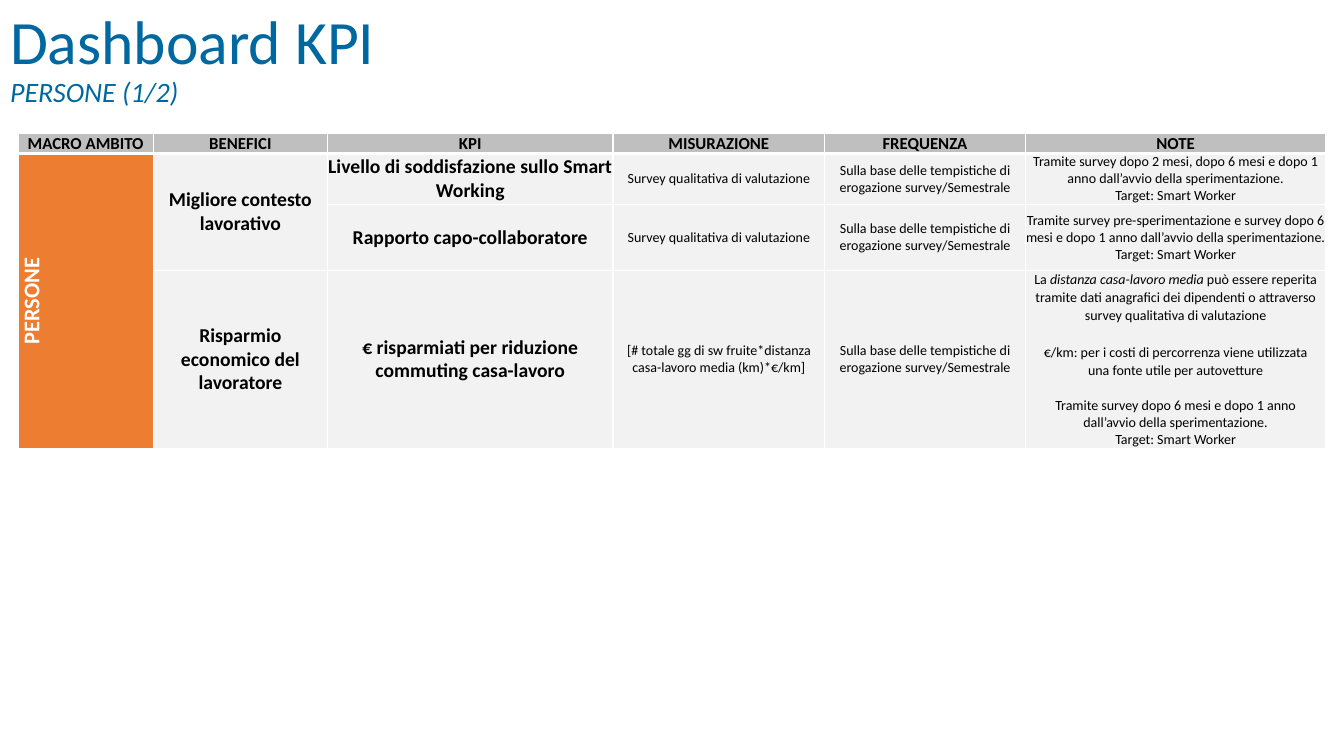
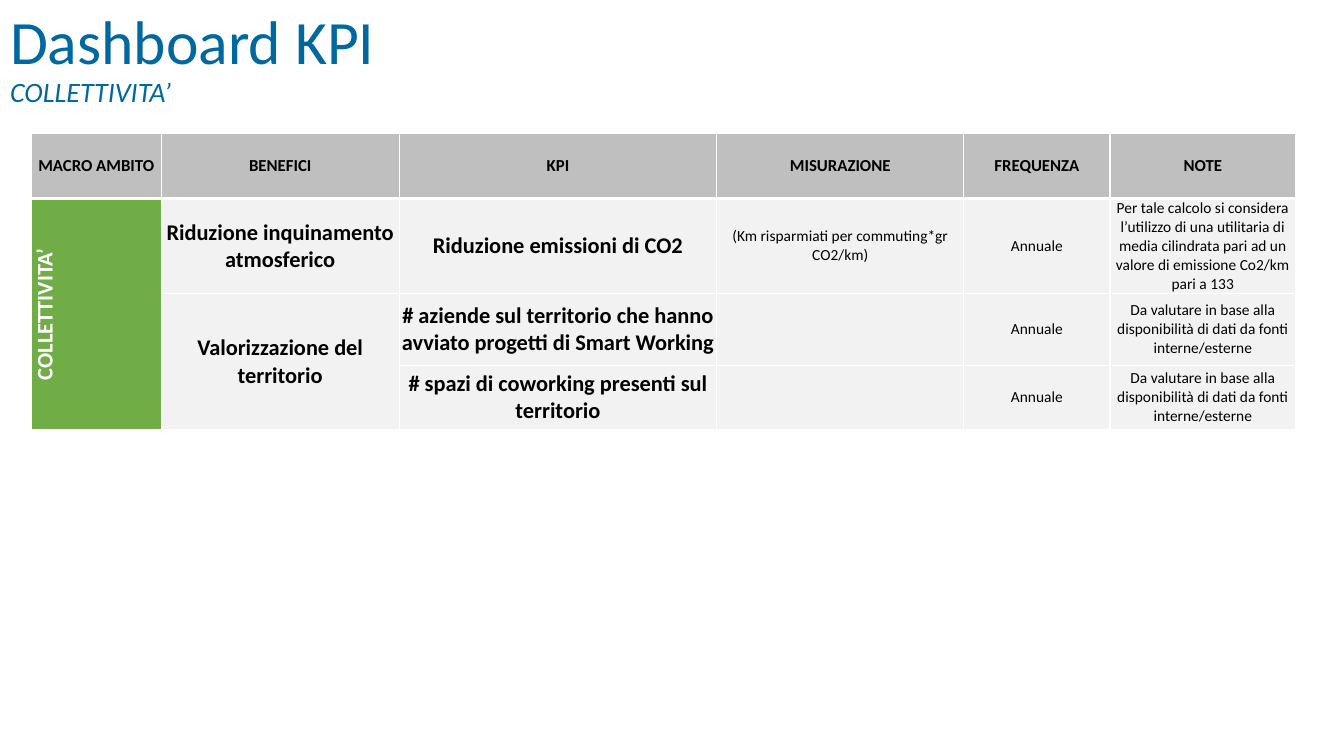
import pptx
import pptx.dml.color
import pptx.enum.text
import pptx.oxml
import pptx.oxml.ns
import pptx.util

Inches = pptx.util.Inches
Pt = pptx.util.Pt
RGB = pptx.dml.color.RGBColor.from_string
MIDDLE = pptx.enum.text.MSO_ANCHOR.MIDDLE
ALIGN = pptx.enum.text.PP_ALIGN

COLORS = {
    "title": "0068A0",
    "header": "BFBFBF",
    "body": "F2F2F2",
    "border": "FFFFFF",
    "text": "000000",
    "area_text": "FFFFFF",
    "people": "ED7D31",
    "community": "70AD47",
}
HEADERS = ["MACRO AMBITO", "BENEFICI", "KPI", "MISURAZIONE", "FREQUENZA", "NOTE"]
SURVEY = "Survey qualitativa di valutazione"
SURVEY_TIMING = "Sulla base delle tempistiche di erogazione survey/Semestrale"
TARGET = "Target: Smart Worker"
AVAILABILITY = "Da valutare in base alla disponibilità di dati da fonti interne/esterne"
DISTANCE_NOTE = (
    "La |distanza casa-lavoro media| può essere reperita tramite dati anagrafici "
    "dei dipendenti o attraverso survey qualitativa di valutazione\n\n"
    "€/km: per i costi di percorrenza viene utilizzata una fonte utile per autovetture\n\n"
    "Tramite survey dopo 6 mesi e dopo 1 anno dall’avvio della sperimentazione.\n" + TARGET
)

dashboards = [
    {
        "subtitle": "PERSONE (1/2)",
        "area_fill": "people",
        "left": 0.18,
        "columns": [1.34, 1.73, 2.83, 2.1, 1.99, 2.98],
        "heights": [0.2, 0.48, 0.65, 1.77],
        "merges": [(1, 0, 3, 0), (1, 1, 2, 1)],
        "key_size": 14,
        "detail_size": 10,
        "rows": [
            ["PERSONE", "Migliore contesto lavorativo",
             "Livello di soddisfazione sullo Smart Working", SURVEY, SURVEY_TIMING,
             "Tramite survey dopo 2 mesi, dopo 6 mesi e dopo 1 anno dall’avvio "
             "della sperimentazione.\n" + TARGET],
            ["", "", "Rapporto capo-collaboratore", SURVEY, SURVEY_TIMING,
             "Tramite survey pre-sperimentazione e survey dopo 6 mesi e dopo 1 anno "
             "dall’avvio della sperimentazione.\n" + TARGET],
            ["", "Risparmio economico del lavoratore",
             "€ risparmiati per riduzione commuting casa-lavoro",
             "[# totale gg di sw fruite*distanza casa-lavoro media (km)*€/km]",
             SURVEY_TIMING, DISTANCE_NOTE],
        ],
    },
    {
        "subtitle": "COLLETTIVITA’",
        "area_fill": "community",
        "left": 0.31,
        "columns": [1.29, 2.36, 3.15, 2.45, 1.45, 1.84],
        "heights": [0.65, 0.93, 0.71, 0.64],
        "merges": [(1, 0, 3, 0), (2, 1, 3, 1)],
        "key_size": 16,
        "detail_size": 11,
        "rows": [
            ["COLLETTIVITA’", "Riduzione inquinamento atmosferico",
             "Riduzione emissioni di CO2", "(Km risparmiati per commuting*gr CO2/km)",
             "Annuale",
             "Per tale calcolo si considera l’utilizzo di una utilitaria di media "
             "cilindrata pari ad un valore di emissione Co2/km pari a 133"],
            ["", "Valorizzazione del territorio",
             "# aziende sul territorio che hanno avviato progetti di Smart Working",
             "", "Annuale", AVAILABILITY],
            ["", "", "# spazi di coworking presenti sul territorio",
             "", "Annuale", AVAILABILITY],
        ],
    },
]


def add_text(paragraph, text, color, **font_values):
    run = paragraph.add_run()
    run.text = text
    run.font.color.rgb = RGB(COLORS[color])
    for name, value in {"name": "Calibri", **font_values}.items():
        setattr(run.font, name, value)


def format_cell(cell, text, fill, color, row, **font_values):
    blocks = text.split("\n\n")
    spaced = len(blocks) > 1
    side = Inches(0.07 if spaced else 0)
    cell_format = {"vertical_anchor": MIDDLE, "margin_left": side, "margin_right": side,
                   "margin_top": 0, "margin_bottom": 0}
    for name, value in cell_format.items():
        setattr(cell, name, value)
    cell.fill.solid()
    cell.fill.fore_color.rgb = RGB(COLORS[fill])

    properties = cell._tc.get_or_add_tcPr()
    widths = {"lnL": 1, "lnR": 1, "lnT": 3 if row == 1 else 1, "lnB": 3 if row == 0 else 1}
    for position, (edge, width) in enumerate(widths.items()):
        properties.insert(position, pptx.oxml.parse_xml(
            f'<a:{edge} {pptx.oxml.ns.nsdecls("a")} w="{Pt(width)}"><a:solidFill>'
            f'<a:srgbClr val="{COLORS["border"]}"/></a:solidFill></a:{edge}>'))

    paragraph = cell.text_frame.paragraphs[0]
    for block_index, block in enumerate(blocks):
        for line_index, line in enumerate(block.split("\n")):
            if block_index or line_index:
                paragraph = cell.text_frame.add_paragraph()
            paragraph.alignment = ALIGN.CENTER
            if block_index and not line_index:
                paragraph.space_before = Pt(13)
            if block_index < len(blocks) - 1:
                paragraph.line_spacing = 1.07
            for part_index, part in enumerate(line.split("|")):
                if part:
                    add_text(paragraph, part, color, italic=part_index % 2 == 1, **font_values)


deck = pptx.Presentation()
deck.slide_width = Inches(13.33)
deck.slide_height = Inches(7.5)

for dashboard in dashboards:
    slide = deck.slides.add_slide(deck.slide_layouts[5])
    title = slide.shapes.title
    title_box = {"left": 0, "top": -0.13, "width": 11.5, "height": 1.45}
    for name, value in title_box.items():
        setattr(title, name, Inches(value))
    title_format = {"vertical_anchor": MIDDLE, "word_wrap": True,
                    "auto_size": pptx.enum.text.MSO_AUTO_SIZE.NONE}
    for name, value in title_format.items():
        setattr(title.text_frame, name, value)
    heading = title.text_frame.paragraphs[0]
    heading.alignment = ALIGN.LEFT
    heading.line_spacing = 0.9
    add_text(heading, "Dashboard KPI", "title", size=Pt(44))
    heading.add_line_break()
    add_text(heading, dashboard["subtitle"], "title", size=Pt(20), italic=True)

    columns, heights = dashboard["columns"], dashboard["heights"]
    kpi_table = slide.shapes.add_table(
        len(heights), len(columns), Inches(dashboard["left"]), Inches(1.32),
        Inches(sum(columns)), Inches(sum(heights))).table
    kpi_table.horz_banding = False
    for column, width in zip(kpi_table.columns, columns):
        column.width = Inches(width)
    for table_row, height in zip(kpi_table.rows, heights):
        table_row.height = Inches(height)

    for row, texts in enumerate([HEADERS] + dashboard["rows"]):
        for col, text in enumerate(texts):
            fill, color, size = "body", "text", dashboard["detail_size"]
            if row == 0:
                fill, size = "header", 12
            elif col == 0:
                fill, color, size = dashboard["area_fill"], "area_text", 16
            elif col < 3:
                size = dashboard["key_size"]
            format_cell(kpi_table.cell(row, col), text, fill, color, row,
                        size=Pt(size), bold=row == 0 or col < 3)

    for first_row, first_col, last_row, last_col in dashboard["merges"]:
        kpi_table.cell(first_row, first_col).merge(kpi_table.cell(last_row, last_col))
    kpi_table.cell(1, 0)._tc.get_or_add_tcPr().set("vert", "vert270")

deck.save("out.pptx")
